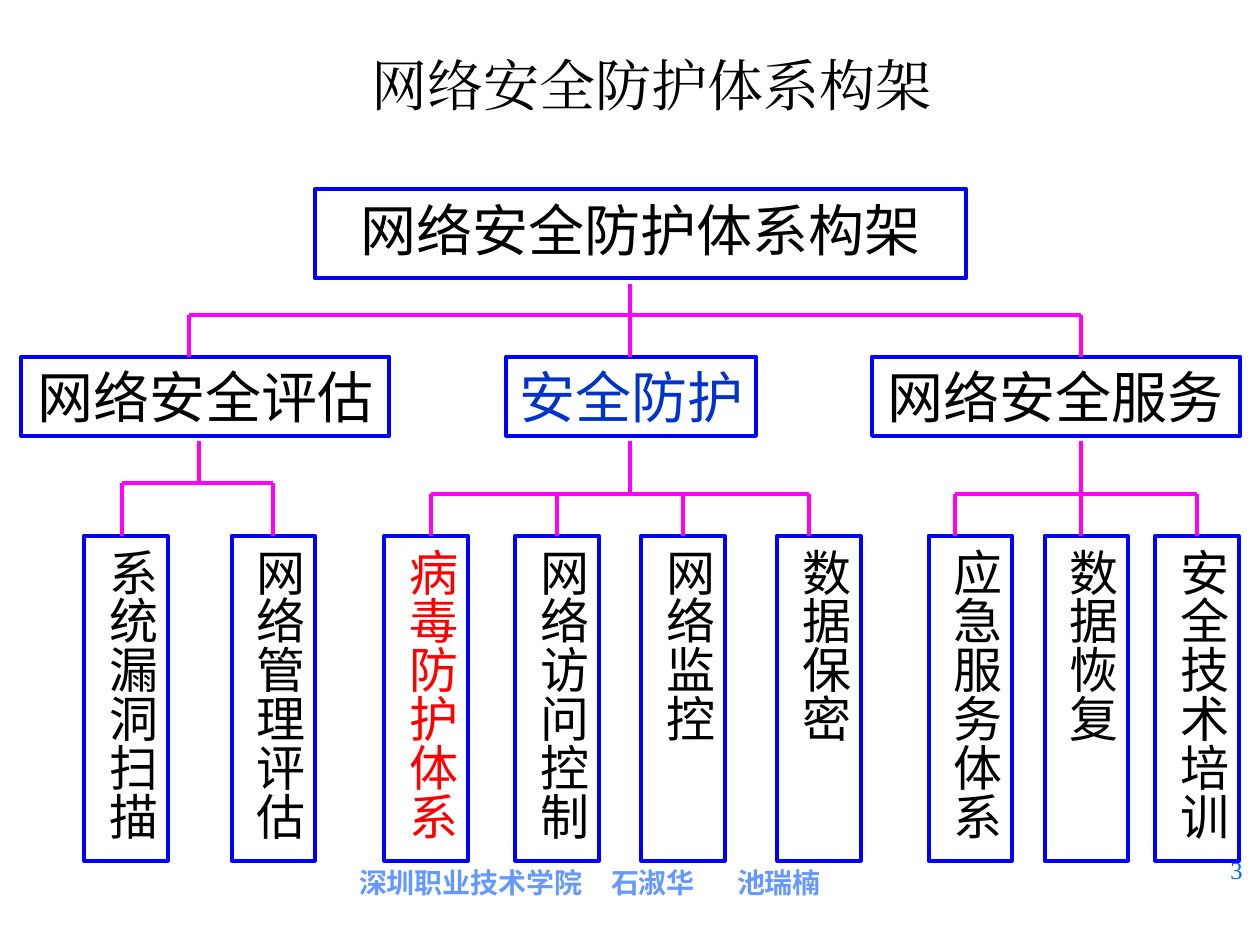
from lxml import etree
from pptx import Presentation
from pptx.dml.color import RGBColor
from pptx.enum import shapes, text
from pptx.oxml import ns
from pptx.util import Cm, Pt

COLORS = {"ink": "000000", "paper": "FFFFFF", "border": "0000FF", "wire": "FF00FF",
          "blue": "0033CC", "red": "FF0000", "footer": "6699FF", "number": "0066FF"}

# All lengths are in centimetres.
TITLE = "网络安全防护体系构架"
ROOT = {"name": TITLE, "box": (6.35, 3.81, 13.13, 1.8),
        "stem": 12.7, "bus": 6.35, "drops": (3.81, 12.7, 21.8)}
BRANCHES = [
    {"name": "网络安全评估", "left": 0.43, "width": 7.42, "color": "ink",
     "stem": 4.01, "bus": 9.73, "drops": (2.46, 5.51),
     "leaves": [("系统漏洞扫描", 1.7, "ink"), ("网络管理评估", 4.67, "ink")]},
    {"name": "安全防护", "left": 10.21, "width": 5.03, "color": "blue",
     "stem": 12.7, "bus": 9.96, "drops": (8.69, 11.23, 13.77, 16.31),
     "leaves": [("病毒防护体系", 7.75, "red"), ("网络访问控制", 10.39, "ink"),
                ("网络监控", 12.93, "ink"), ("数据保密", 15.67, "ink")]},
    {"name": "网络安全服务", "left": 17.58, "width": 7.42, "color": "ink",
     "stem": 21.8, "bus": 9.96, "drops": (19.25, 21.8, 24.13),
     "leaves": [("应急服务体系", 18.72, "ink"), ("数据恢复", 21.06, "ink"),
                ("安全技术培训", 23.29, "ink")]},
]
BRANCH_TOP, BRANCH_HEIGHT = 7.19, 1.6
LEAF_TOP, LEAF_WIDTH, LEAF_HEIGHT = 10.8, 1.68, 6.55
ROOT_STEM_TOP, BRANCH_STEM_TOP = 5.72, 8.89
FOOTER = "深圳职业技术学院\t石淑华\t池瑞楠"
FOOTER_TABS = (5.9, 8.1)


def rgb(name):
    return RGBColor.from_string(COLORS[name])


def write(frame, words, size, color, font="Arial", align=text.PP_ALIGN.CENTER, bold=False):
    frame.text = words
    para = frame.paragraphs[0]
    para.alignment = align
    for span in para.runs:
        span.font.size = Pt(size)
        span.font.name = font
        span.font.bold = bold
        span.font.color.rgb = rgb(color)
        east_asian = etree.SubElement(span.font._element, ns.qn("a:ea"))
        east_asian.set("typeface", font)


def add_box(page, words, place, size, color, vertical=False):
    box = page.shapes.add_shape(shapes.MSO_SHAPE.RECTANGLE, *map(Cm, place))
    box.shadow.inherit = False
    box.fill.solid()
    box.fill.fore_color.rgb = rgb("paper")
    box.line.color.rgb = rgb("border")
    box.line.width = Pt(2.25)
    frame = box.text_frame
    frame.vertical_anchor = text.MSO_ANCHOR.TOP
    frame.word_wrap = True
    if vertical:
        frame.margin_left = frame.margin_right = Cm(0.13)
        frame.margin_top = frame.margin_bottom = Cm(0.25)
        frame._txBody.bodyPr.set("vert", "eaVert")
    write(frame, words, size, color)


def add_wire(page, x1, y1, x2, y2):
    wire = page.shapes.add_connector(shapes.MSO_CONNECTOR.STRAIGHT, *map(Cm, (x1, y1, x2, y2)))
    wire.line.color.rgb = rgb("wire")
    wire.line.width = Pt(2.25)
    etree.SubElement(wire._element.spPr, ns.qn("a:effectLst"))


def add_fork(page, node, top, bottom):
    """Join a node to its children: a stem, a crossbar and one drop per child."""
    bus, drops = node["bus"], node["drops"]
    add_wire(page, node["stem"], top, node["stem"], bus)
    add_wire(page, drops[0], bus, drops[-1], bus)
    for x in drops:
        add_wire(page, x, bus, x, bottom)


def add_label(page, place):
    label = page.shapes.add_textbox(*map(Cm, place))
    label.text_frame.word_wrap = True
    return label.text_frame


def main():
    deck = Presentation()
    deck.slide_width, deck.slide_height = Cm(25.4), Cm(19.05)
    page = deck.slides.add_slide(deck.slide_layouts[5])

    footer = add_label(page, (4.29, 17.32, 15.67, 0.94))
    footer.margin_left = Cm(2.95)
    tabs = etree.SubElement(footer.paragraphs[0]._p.get_or_add_pPr(), ns.qn("a:tabLst"))
    for stop in FOOTER_TABS:
        etree.SubElement(tabs, ns.qn("a:tab"), pos=str(int(Cm(stop))), algn="l")
    write(footer, FOOTER, 16, "footer", "Noto Sans CJK SC", text.PP_ALIGN.LEFT, True)

    add_box(page, ROOT["name"], ROOT["box"], 32, "ink")
    for branch in BRANCHES:
        place = (branch["left"], BRANCH_TOP, branch["width"], BRANCH_HEIGHT)
        add_box(page, branch["name"], place, 32, branch["color"])
        for name, left, color in branch["leaves"]:
            add_box(page, name, (left, LEAF_TOP, LEAF_WIDTH, LEAF_HEIGHT), 28, color, True)

    add_fork(page, ROOT, ROOT_STEM_TOP, BRANCH_TOP)
    for branch in BRANCHES:
        add_fork(page, branch, BRANCH_STEM_TOP, LEAF_TOP)

    title = page.shapes.title
    title.left, title.top, title.width, title.height = map(Cm, (2.34, 0.64, 21.59, 2.11))
    title.text_frame.vertical_anchor = text.MSO_ANCHOR.MIDDLE
    write(title.text_frame, TITLE, 32, "ink", "Times New Roman")

    number = add_label(page, (23.5, 17.12, 1.8, 1.32))
    write(number, "3", 14, "number", "Times New Roman", text.PP_ALIGN.RIGHT)

    deck.save("out.pptx")


if __name__ == "__main__":
    main()
